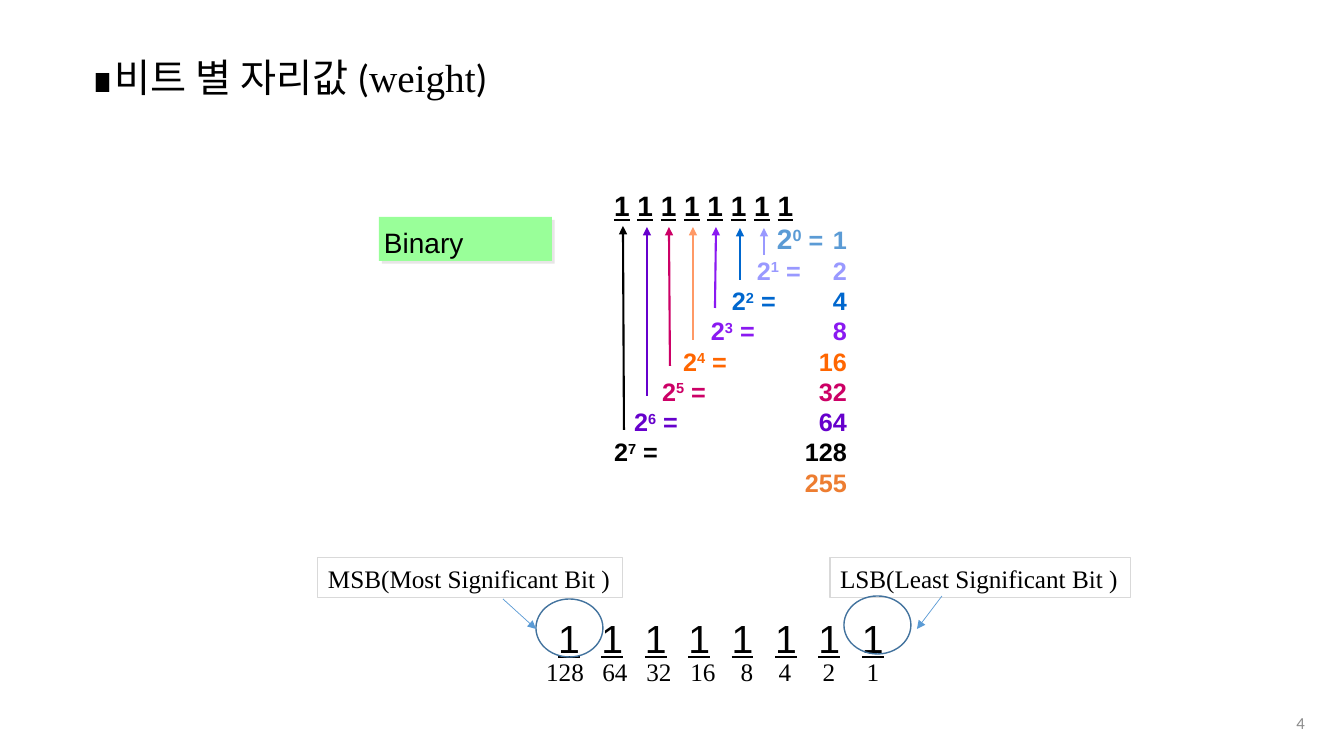
"""Build the slide on the positional weight of each bit."""
import pptx
import pptx.dml.color
import pptx.enum.shapes
import pptx.enum.text
import pptx.oxml.ns
import pptx.util
from dataclasses import dataclass
from lxml import etree

SHAPE = pptx.enum.shapes.MSO_SHAPE
ALIGN = pptx.enum.text.PP_ALIGN
ANCHOR = pptx.enum.text.MSO_ANCHOR


@dataclass(frozen=True)
class Theme:
    black: str = "000000"
    gray: str = "8C8C8C"
    border: str = "D9D9D9"
    green: str = "99FF99"
    shadow: str = "E7E6E6"
    ring: str = "43739E"
    pointer: str = "5B9BD5"
    total: str = "ED7D31"
    sans: str = "Arial"
    serif: str = "Times New Roman"
    body: str = "Calibri"
    korean: str = "Noto Sans CJK KR"
    title: int = 28
    bit: int = 28
    label: int = 20
    text: int = 18
    small: int = 12
    row_pitch: float = 21.6


T = Theme()
TITLE = [("∎비트 별 자리값", T.korean), (" (", T.body), ("weight", T.serif), (")", T.body)]
BITS = 8
WEIGHT_ROWS = [
    (163, "5B9BD5"), (143, "9999FF"), (118, "0067CE"), (97, "8A19F1"),
    (69, "FF6600"), (48, "CC0066"), (20, "6600CC"), (0, T.black),
]
VALUE_EDGE = 233
ARROWS = [
    (764, 764, 255, 228, "9999FF"), (740, 740, 280, 228, "0067CE"),
    (715, 716, 308, 227, "8A19F1"), (693, 693, 340, 227, "FF9966"),
    (670, 669, 366, 227, "CC0066"), (647, 647, 396, 227, "6600CC"),
    (624, 623, 430, 226, T.black),
]
WEIGHT_CENTERS = [565, 615, 659, 703, 747, 785, 829, 873]
CALLOUTS = [
    ("MSB(Most Significant Bit )", (318, 558, 305, 40), (536, 599, 67, 58), (503, 599, 536, 629)),
    ("LSB(Least Significant Bit )", (830, 558, 301, 40), (844, 596, 67, 58), (942, 596, 917, 629)),
]


def px(n):
    return pptx.util.Emu(round(n * 914400 / 100.8))


def rgb(color):
    return pptx.dml.color.RGBColor.from_string(color)


def sub(parent, tag, **attrs):
    return etree.SubElement(parent, pptx.oxml.ns.qn(tag), {k: str(v) for k, v in attrs.items()})


def add_run(p, text, size, font, color=T.black, bold=False, underline=False, raised=False):
    r = p.add_run()
    r.text = text
    r.font.size = pptx.util.Pt(size)
    r.font.name = font
    r.font.bold = bold
    r.font.underline = underline
    r.font.color.rgb = rgb(color)
    rPr = r.font._element
    sub(rPr, "a:ea", typeface=font)
    if raised:
        rPr.set("baseline", "30000")


def set_tabs(p, stops):
    tabs = sub(p._p.get_or_add_pPr(), "a:tabLst")
    for pos, align in stops:
        sub(tabs, "a:tab", pos=int(px(pos)), algn=align)


def set_frame(sp, wrap=True, anchor=ANCHOR.TOP, inset=(10, 5)):
    tf = sp.text_frame
    tf.word_wrap = wrap
    tf.auto_size = pptx.enum.text.MSO_AUTO_SIZE.NONE
    tf.vertical_anchor = anchor
    tf.margin_left = tf.margin_right = px(inset[0])
    tf.margin_top = tf.margin_bottom = px(inset[1])
    return tf


def add_text(s, box, **frame):
    sp = s.shapes.add_textbox(*map(px, box))
    return sp, set_frame(sp, **frame)


def add_arrow(s, x1, y1, x2, y2, color, width):
    line = s.shapes.add_connector(
        pptx.enum.shapes.MSO_CONNECTOR.STRAIGHT, px(x1), px(y1), px(x2), px(y2))
    line.line.color.rgb = rgb(color)
    line.line.width = pptx.util.Pt(width)
    sub(line.line._get_or_add_ln(), "a:tailEnd", type="triangle")
    sub(line._element.spPr, "a:effectLst")


def add_title(s):
    sp = s.shapes.title
    sp.left, sp.top, sp.width, sp.height = map(px, (80, 54, 797, 64))
    p = set_frame(sp).paragraphs[0]
    p.alignment = ALIGN.LEFT
    p.line_spacing = 0.9
    for text, font in TITLE:
        add_run(p, text, T.title, font)


def add_binary_label(s):
    sp = s.shapes.add_shape(SHAPE.RECTANGLE, *map(px, (379, 217, 173, 44)))
    sp.fill.solid()
    sp.fill.fore_color.rgb = rgb(T.green)
    sp.line.fill.background()
    effects = sub(sp._element.spPr, "a:effectLst")
    shadow = sub(effects, "a:outerShdw", dist=35560, dir=2700000, algn="ctr", rotWithShape=0)
    sub(shadow, "a:srgbClr", val=T.shadow)
    p = set_frame(sp, inset=(5, 8)).paragraphs[0]
    p.alignment = ALIGN.LEFT
    add_run(p, "Binary", T.label, T.sans)


def add_weights(s):
    tf = add_text(s, (604, 187, 313, 323))[1]
    p = tf.paragraphs[0]
    p.line_spacing = pptx.util.Pt(T.row_pitch)
    for i in range(BITS):
        if i:
            add_run(p, " ", T.label, T.sans, bold=True)
        add_run(p, "1", T.label, T.sans, bold=True, underline=True)
    for power, (indent, color) in enumerate(WEIGHT_ROWS):
        p = tf.add_paragraph()
        p.line_spacing = pptx.util.Pt(T.row_pitch)
        if power == 0:
            p.space_before = pptx.util.Pt(2)
        set_tabs(p, [(indent, "l")] * (indent > 0) + [(VALUE_EDGE, "r")])
        size = T.text if power else T.label
        add_run(p, "\t2" if indent else "2", size, T.sans, color, bold=True)
        add_run(p, str(power), size, T.sans, color, bold=True, raised=True)
        add_run(p, f" =\t{2 ** power}", T.text, T.sans, color, bold=True)
    p = tf.add_paragraph()
    p.line_spacing = pptx.util.Pt(T.row_pitch)
    set_tabs(p, [(VALUE_EDGE, "r")])
    add_run(p, f"\t{2 ** BITS - 1}", T.text, T.sans, T.total, bold=True)
    for x1, x2, bottom, top, color in ARROWS:
        add_arrow(s, x1, bottom, x2, top, color, 1.5)


def add_bit_row(s):
    left = 530
    p = add_text(s, (left, 614, 390, 46), inset=(0, 0))[1].paragraphs[0]
    set_tabs(p, [(569 + 43.4 * i - left, "ctr") for i in range(BITS)])
    for _ in range(BITS):
        add_run(p, "\t", T.bit, T.sans)
        add_run(p, "1", T.bit, T.sans, underline=True)
    p = add_text(s, (left, 651, 390, 40), inset=(0, 5))[1].paragraphs[0]
    set_tabs(p, [(x - left, "ctr") for x in WEIGHT_CENTERS])
    for power in reversed(range(BITS)):
        add_run(p, f"\t{2 ** power}", T.text, T.serif)


def add_callout(s, text, box, ring, arrow):
    sp, tf = add_text(s, box, wrap=False)
    sp.line.color.rgb = rgb(T.border)
    sp.line.width = pptx.util.Pt(0.75)
    add_run(tf.paragraphs[0], text, T.text, T.serif)
    oval = s.shapes.add_shape(SHAPE.OVAL, *map(px, ring))
    oval.shadow.inherit = False
    oval.fill.background()
    oval.line.color.rgb = rgb(T.ring)
    oval.line.width = pptx.util.Pt(1)
    add_arrow(s, *arrow, T.pointer, 0.5)


def main():
    prs = pptx.Presentation()
    prs.slide_width, prs.slide_height = px(1344), px(756)
    s = prs.slides.add_slide(prs.slide_layouts[5])
    add_title(s)
    add_binary_label(s)
    add_weights(s)
    add_bit_row(s)
    for callout in CALLOUTS:
        add_callout(s, *callout)
    p = add_text(s, (1172, 709, 143, 27), anchor=ANCHOR.MIDDLE)[1].paragraphs[0]
    p.alignment = ALIGN.RIGHT
    add_run(p, "4", T.small, T.body, T.gray)
    prs.save("out.pptx")


if __name__ == "__main__":
    main()
